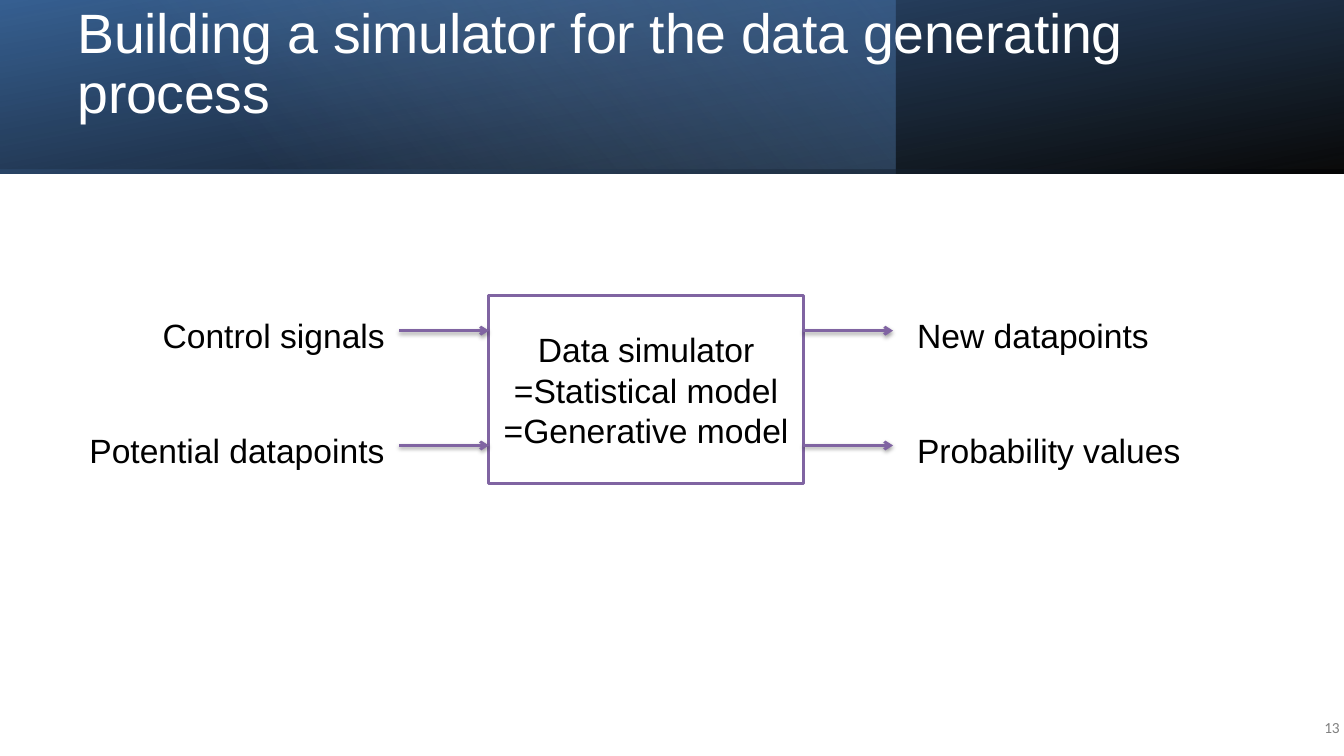
from lxml.etree import SubElement
from pptx import Presentation
from pptx.dml.color import RGBColor
from pptx.enum.shapes import MSO_CONNECTOR, MSO_SHAPE
from pptx.enum.text import MSO_ANCHOR as ANCHOR, PP_ALIGN as ALIGN
from pptx.oxml.ns import qn
from pptx.util import Pt

COLORS = {
    "white": "FFFFFF", "black": "000000", "gray": "808080", "purple": "8064A2",
    "navy": "376092", "blue": "4F81BD", "pale": "95B3D7",
}


def rgb(name):
    return RGBColor.from_string(COLORS[name])


class Deck:
    """Hold the deck style and the current slide."""

    def __init__(self, width, height):
        self.prs = Presentation()
        self.prs.slide_width, self.prs.slide_height = Pt(width), Pt(height)
        self.s = self.prs.slides.add_slide(self.prs.slide_layouts[6])

    def rect(self, x, y, w, h):
        sp = self.s.shapes.add_shape(MSO_SHAPE.RECTANGLE, Pt(x), Pt(y), Pt(w), Pt(h))
        sp.shadow.inherit = False
        return sp

    def gradient_band(self, w, h, angle, stops):
        sp = self.rect(0, 0, w, h)
        sp.line.fill.background()
        sp.fill.gradient()
        sp.fill.gradient_angle = angle
        for stop, (position, color, _) in zip(sp.fill.gradient_stops, stops):
            stop.position = position
            stop.color.rgb = rgb(color)
        tints = sp._element.spPr.iter(qn("a:srgbClr"))
        for tint, (_, _, opacity) in zip(list(tints), stops):
            SubElement(tint, qn("a:alpha"), val=str(opacity * 1000))

    def set_lines(self, tf, lines, size=24, color="black", font="Arial",
                  align=ALIGN.LEFT, spacing=None, tracking=None):
        for i, line in enumerate(lines):
            p = tf.add_paragraph() if i else tf.paragraphs[0]
            p.alignment = align
            p.line_spacing = spacing
            r = p.add_run()
            r.text = line
            p.font.size, p.font.name = Pt(size), font
            p.font.color.rgb = rgb(color)
            if tracking:
                r._r.get_or_add_rPr().set("spc", str(tracking))

    def text(self, x, y, w, h, line, wrap=False, anchor=ANCHOR.TOP, insets=None, **style):
        tf = self.s.shapes.add_textbox(Pt(x), Pt(y), Pt(w), Pt(h)).text_frame
        tf.word_wrap = wrap
        tf.vertical_anchor = anchor
        if insets:
            tf.margin_left, tf.margin_top, tf.margin_right, tf.margin_bottom = map(Pt, insets)
        self.set_lines(tf, [line], **style)

    def box(self, x, y, w, h, lines):
        sp = self.rect(x, y, w, h)
        sp.fill.solid()
        sp.fill.fore_color.rgb = rgb("white")
        sp.line.color.rgb = rgb("purple")
        sp.line.width = Pt(2)
        tf = sp.text_frame
        tf.word_wrap = True
        tf.vertical_anchor = ANCHOR.MIDDLE
        self.set_lines(tf, lines, align=ALIGN.CENTER)

    def arrow(self, x, y, length):
        c = self.s.shapes.add_connector(
            MSO_CONNECTOR.STRAIGHT, Pt(x), Pt(y), Pt(x + length), Pt(y))
        c.line.color.rgb = rgb("purple")
        c.line.width = Pt(2)
        SubElement(c.line._get_or_add_ln(), qn("a:tailEnd"), type="arrow")
        effects = SubElement(c._element.spPr, qn("a:effectLst"))
        shadow = SubElement(effects, qn("a:outerShdw"), blurRad=str(Pt(3.1)),
                            dist=str(Pt(1.6)), dir="5400000", rotWithShape="0")
        tint = SubElement(shadow, qn("a:srgbClr"), val=COLORS["black"])
        SubElement(tint, qn("a:alpha"), val="38000")


def main():
    deck = Deck(960, 540)

    band_h = 124
    deck.gradient_band(960, band_h, 280, [(0, "navy", 100), (1, "black", 96)])
    deck.gradient_band(640, band_h, 40, [(0.26, "pale", 0), (1, "blue", 41)])
    deck.gradient_band(960, band_h, 280, [(0.22, "blue", 15), (1, "black", 63)])
    deck.text(55.4, 19.4, 893.5, 91.4, "Building a simulator for the data generating process",
              wrap=True, anchor=ANCHOR.MIDDLE, insets=(0, 0, 24, 37),
              size=39.6, color="white", spacing=0.9, tracking=-20)
    deck.text(921.6, 508.3, 35.3, 28.8, "13", wrap=True, anchor=ANCHOR.MIDDLE,
              insets=(0, 0, 0, 6), size=11, color="gray", font="Calibri",
              align=ALIGN.RIGHT, tracking=-30)

    box_x, box_w, arrow_w = 349.2, 224.6, 64.1
    deck.box(box_x, 211, box_w, 134.6,
             ["Data simulator", "=Statistical model", "=Generative model"])

    label_right, output_x = 283, 648
    rows = [
        (236.2, "Control signals", 175, "New datapoints", 181.4),
        (318.2, "Potential datapoints", 227.5, "Probability values", 204.5),
    ]
    for y, source, source_w, output, output_w in rows:
        deck.arrow(box_x - arrow_w, y, arrow_w)
        deck.arrow(box_x + box_w, y, arrow_w)
        deck.text(label_right - source_w, y - 14.8, source_w, 27.4, source, align=ALIGN.CENTER)
        deck.text(output_x, y - 14.8, output_w, 27.4, output)

    deck.prs.save("out.pptx")


if __name__ == "__main__":
    main()
